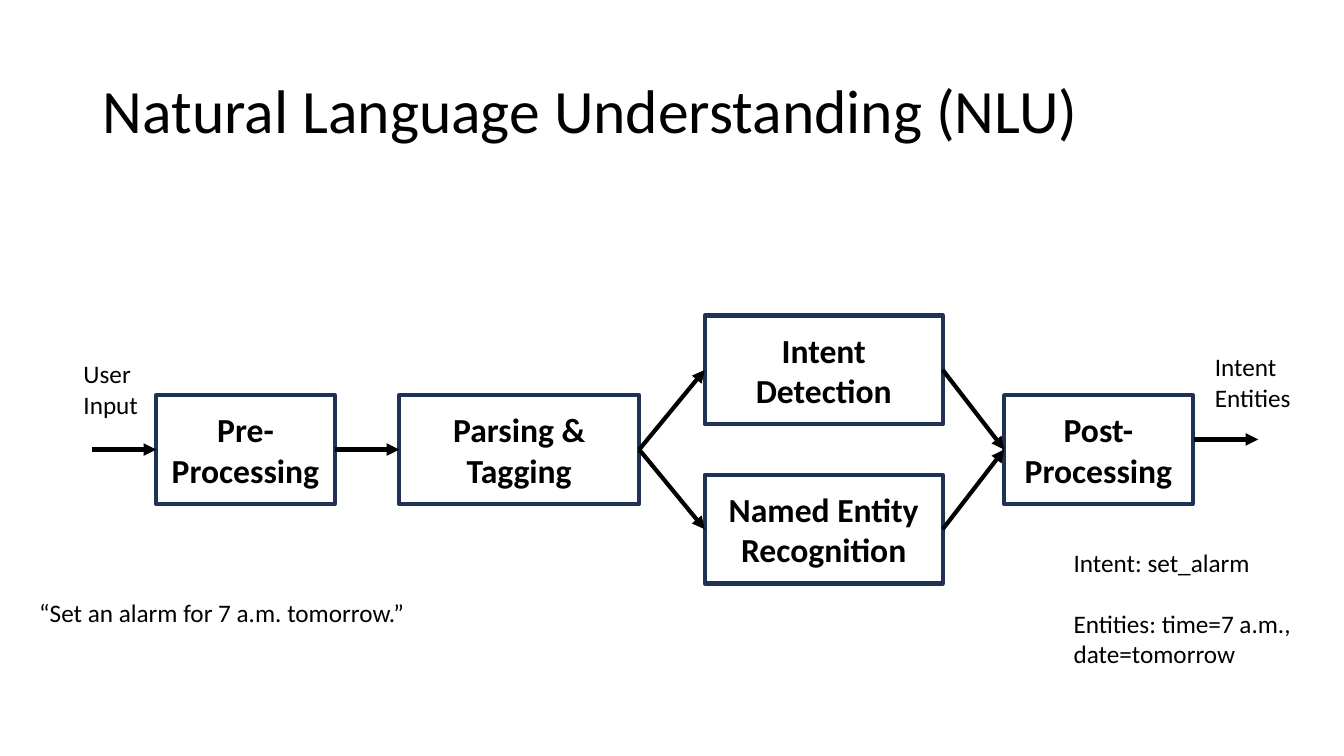
from pptx import Presentation
from pptx.dml.color import RGBColor
from pptx.enum.shapes import MSO_CONNECTOR, MSO_SHAPE
from pptx.enum.text import MSO_ANCHOR, PP_ALIGN
from pptx.oxml.ns import qn
from pptx.util import Inches, Pt
from lxml import etree

RECTANGLE = MSO_SHAPE.RECTANGLE
STRAIGHT = MSO_CONNECTOR.STRAIGHT
MIDDLE = MSO_ANCHOR.MIDDLE
LEFT, CENTER = PP_ALIGN.LEFT, PP_ALIGN.CENTER

# Content
TITLE = "Natural Language Understanding (NLU)"
FONT, BLACK, NAVY = "Calibri", "000000", "1E3256"

MAIN_ROW, BRANCH_OFFSET = 4.46, 0.79  # centre line and distance of branches
STAGE_HEIGHT = 1.08
STAGES = {  # label: (left, width, centre)
    "Intent Detection": (6.99, 2.36, MAIN_ROW - BRANCH_OFFSET),
    "Named Entity Recognition": (6.99, 2.36, MAIN_ROW + BRANCH_OFFSET),
    "Pre-Processing": (1.55, 1.77, MAIN_ROW),
    "Parsing & Tagging": (3.96, 2.38, MAIN_ROW),
    "Post-Processing": (9.96, 1.87, MAIN_ROW),
}
FLOWS = [
    ("Pre-Processing", "Parsing & Tagging"),
    ("Parsing & Tagging", "Intent Detection"),
    ("Parsing & Tagging", "Named Entity Recognition"),
    ("Intent Detection", "Post-Processing"),
    ("Named Entity Recognition", "Post-Processing"),
]
END_ARROWS = [(0.91, MAIN_ROW), (11.84, 4.36)]  # input and output starts
END_ARROW_LENGTH = 0.64
NOTES = [  # (left, top, width, height), lines, space between lines
    ((0.73, 3.51, 0.87, 0.71), ["User", "Input"], 0),
    ((11.95, 3.44, 1.05, 0.71), ["Intent", "Entities"], 0),
    ((0.29, 5.88, 3.91, 0.4), ["“Set an alarm for 7 a.m. tomorrow.”"], 0),
    ((10.55, 5.38, 2.5, 1.31),
     ["Intent: set_alarm", "Entities: time=7 a.m., date=tomorrow"], 22),
]


def color(hex_string):
    return RGBColor.from_string(hex_string)


def style(paragraph, size, bold=False, align=LEFT):
    paragraph.alignment = align
    paragraph.font.name = FONT
    paragraph.font.size = Pt(size)
    paragraph.font.bold = bold
    paragraph.font.color.rgb = color(BLACK)


def add_arrow(x1, y1, x2, y2):
    arrow = slide.shapes.add_connector(
        STRAIGHT, Inches(x1), Inches(y1), Inches(x2), Inches(y2))
    arrow.line.color.rgb = color(BLACK)
    arrow.line.width = Pt(3)
    etree.SubElement(arrow.line._get_or_add_ln(), qn("a:tailEnd"), type="triangle")
    etree.SubElement(arrow._element.spPr, qn("a:effectLst"))
    return arrow


prs = Presentation()
prs.slide_width, prs.slide_height = Inches(13.33), Inches(7.5)
slide = prs.slides.add_slide(prs.slide_layouts[5])

# Title
title = slide.shapes.title
title.left, title.top = Inches(0.92), Inches(0.4)
title.width, title.height = Inches(11.5), Inches(1.45)
title.text_frame.text = TITLE
title.text_frame.vertical_anchor = MIDDLE
title.text_frame.paragraphs[0].line_spacing = 0.9
style(title.text_frame.paragraphs[0], 44)

# Pipeline stages
boxes = {}
for label, (left, width, center) in STAGES.items():
    box = slide.shapes.add_shape(
        RECTANGLE, Inches(left), Inches(center - STAGE_HEIGHT / 2),
        Inches(width), Inches(STAGE_HEIGHT))
    box.shadow.inherit = False
    box.fill.background()
    box.line.color.rgb = color(NAVY)
    box.line.width = Pt(3)
    box.text_frame.text = label
    box.text_frame.word_wrap = True
    box.text_frame.vertical_anchor = MIDDLE
    style(box.text_frame.paragraphs[0], 24, True, CENTER)
    boxes[label] = box

# Arrows from the right side of one stage to the left side of the next
LEFT_SITE, RIGHT_SITE = 1, 3
for source, target in FLOWS:
    source_left, source_width, source_center = STAGES[source]
    target_left, _, target_center = STAGES[target]
    flow = add_arrow(source_left + source_width, source_center,
                     target_left, target_center)
    flow.begin_connect(boxes[source], RIGHT_SITE)
    flow.end_connect(boxes[target], LEFT_SITE)

# Arrows into and out of the pipeline
for x, y in END_ARROWS:
    add_arrow(x, y, x + END_ARROW_LENGTH, y)

# Input and output notes
for bounds, lines, gap in NOTES:
    frame = slide.shapes.add_textbox(*map(Inches, bounds)).text_frame
    frame.word_wrap = True
    frame.text = "\n".join(lines)
    for index, paragraph in enumerate(frame.paragraphs):
        style(paragraph, 18)
        if index and gap:
            paragraph.space_before = Pt(gap)

prs.save("out.pptx")
